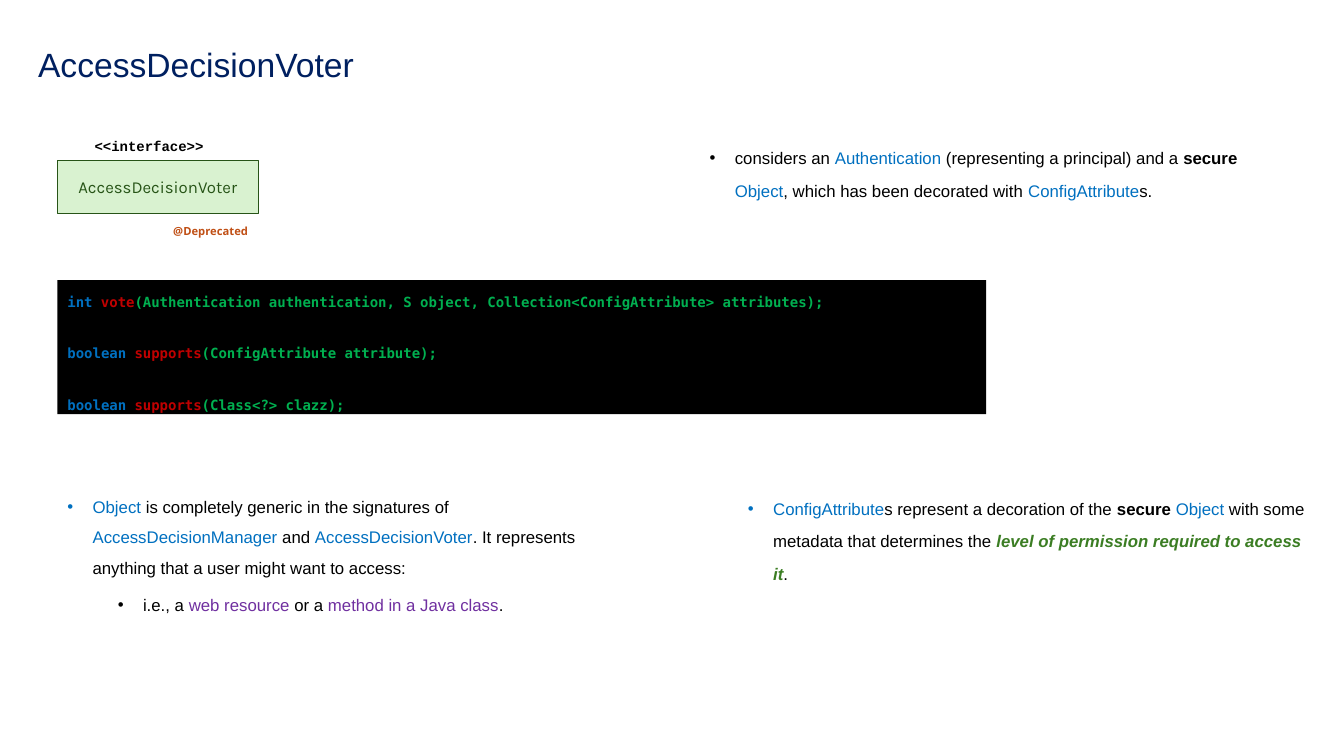
from pptx import Presentation
from pptx.dml.color import RGBColor
from pptx.enum.shapes import MSO_SHAPE
from pptx.enum.text import MSO_ANCHOR as ANCHOR, PP_ALIGN as ALIGN
from pptx.util import Inches, Pt
from lxml import etree

BLACK = RGBColor(0x00, 0x00, 0x00)
NAVY = RGBColor(0x00, 0x20, 0x60)
BLUE = RGBColor(0x00, 0x70, 0xC0)
RED = RGBColor(0xC0, 0x00, 0x00)
GREEN = RGBColor(0x00, 0xB0, 0x50)
PURPLE = RGBColor(0x70, 0x30, 0xA0)
ORANGE = RGBColor(0xC0, 0x4F, 0x15)
LEAF = RGBColor(0x3B, 0x7D, 0x23)
DARK_LEAF = RGBColor(0x27, 0x54, 0x17)
PALE_LEAF = RGBColor(0xD9, 0xF2, 0xD0)

# Grid: left edge and row shared by the blocks, width of a text column
LEFT, LOWER_ROW, COLUMN = 0.57, 4.78, 5.82

prs = Presentation()
prs.slide_width, prs.slide_height = Inches(13.33), Inches(7.5)
s = prs.slides.add_slide(prs.slide_layouts[6])


def add_block(x, y, w, h, fill=None, anchor=ANCHOR.TOP, wrap=True):
    """Add a text box, or a rectangle when a fill is given."""
    box = [Inches(v) for v in (x, y, w, h)]
    if fill is None:
        sp = s.shapes.add_textbox(*box)
    else:
        sp = s.shapes.add_shape(MSO_SHAPE.RECTANGLE, *box)
        sp.shadow.inherit = False
        sp.fill.solid()
        sp.fill.fore_color.rgb = fill
        sp.line.fill.background()
    tf = sp.text_frame
    tf.word_wrap = wrap
    tf.vertical_anchor = anchor
    return sp


def write(p, runs, font, size, align=ALIGN.LEFT, spacing=1.0, before=0, indent=None):
    """Write (text, colour, style) runs; style holds b and i. An indent adds a bullet."""
    p.alignment, p.line_spacing, p.space_before = align, spacing, Pt(before)
    if indent:
        pPr = p._p.get_or_add_pPr()
        pPr.set("marL", str(Inches(indent)))
        pPr.set("indent", str(Inches(-0.25)))
        ns = "{http://schemas.openxmlformats.org/drawingml/2006/main}"
        etree.SubElement(pPr, ns + "buFont").set("typeface", "Arial")
        etree.SubElement(pPr, ns + "buChar").set("char", "•")
    for text, color, style in runs:
        r = p.add_run()
        r.text = text
        r.font.name, r.font.size = font, Pt(size)
        r.font.color.rgb = color
        r.font.bold, r.font.italic = "b" in style, "i" in style


# Title
sp = add_block(0.28, 0.4, 12.86, 0.53, anchor=ANCHOR.MIDDLE)
write(sp.text_frame.paragraphs[0], [("AccessDecisionVoter", NAVY, "")], "Arial", 24, spacing=0.9)

# Interface box with its stereotype and annotation
sp = add_block(LEFT, 1.59, 1.99, 0.53, PALE_LEAF, ANCHOR.MIDDLE)
sp.line.color.rgb = DARK_LEAF
sp.line.width = Pt(0.25)
write(sp.text_frame.paragraphs[0], [("AccessDecisionVoter", DARK_LEAF, "")],
      "Karla", 12, ALIGN.CENTER)
sp = add_block(0.84, 1.31, 1.45, 0.28, wrap=False)
write(sp.text_frame.paragraphs[0], [("<<interface>>", BLACK, "b")], "Courier New", 10)
sp = add_block(1.61, 2.12, 0.96, 0.28, anchor=ANCHOR.MIDDLE)
write(sp.text_frame.paragraphs[0], [("@Deprecated", ORANGE, "b")],
      "Open Sans", 8, ALIGN.CENTER, 1.5)

# Method signatures
signatures = [
    ("int ", "vote", "(Authentication authentication, S object, "
                     "Collection<ConfigAttribute> attributes);"),
    ("boolean ", "supports", "(ConfigAttribute attribute);"),
    ("boolean ", "supports", "(Class<?> clazz);"),
]
tf = add_block(LEFT, 2.78, 9.21, 1.33, BLACK).text_frame
for i, (kind, method, params) in enumerate(signatures):
    p = tf.add_paragraph() if i else tf.paragraphs[0]
    write(p, [(kind, BLUE, "b"), (method, RED, "b"), (params, GREEN, "b")],
          "DejaVu Sans Mono", 10, spacing=1.5, before=18.6 if i else 0)

# Bulleted notes: left, top, height, line spacing, paragraphs
notes = [
    (6.94, 1.3, 1.1, 1.6, [
        [("considers an ", BLACK, ""), ("Authentication", BLUE, ""),
         (" (representing a principal) and a ", BLACK, ""), ("secure ", BLACK, "b"),
         ("Object", BLUE, ""), (", which has been decorated with ", BLACK, ""),
         ("ConfigAttribute", BLUE, ""), ("s.", BLACK, "")]]),
    (LEFT, LOWER_ROW, 2.15, 1.5, [
        [("Object", BLUE, ""), (" is completely generic in the signatures of ", BLACK, ""),
         ("AccessDecisionManager", BLUE, ""), (" and ", BLACK, ""),
         ("AccessDecisionVoter", BLUE, ""),
         (". It represents anything that a user might want to access:", BLACK, "")],
        [("i.e., a ", BLACK, ""), ("web resource", PURPLE, ""), (" or a ", BLACK, ""),
         ("method in a Java class", PURPLE, ""), (".", BLACK, "")]]),
    (7.32, LOWER_ROW, 2.15, 1.6, [
        [("ConfigAttribute", BLUE, ""), ("s represent a decoration of the ", BLACK, ""),
         ("secure ", BLACK, "b"), ("Object", BLUE, ""),
         (" with some metadata that determines the ", BLACK, ""),
         ("level of permission required to access it", LEAF, "bi"), (".", BLACK, "")]]),
]
for x, y, h, spacing, paragraphs in notes:
    tf = add_block(x, y, COLUMN, h).text_frame
    for level, runs in enumerate(paragraphs):
        p = tf.add_paragraph() if level else tf.paragraphs[0]
        p.level = level
        write(p, runs, "Arial", 12, spacing=spacing, before=5 if level else 10,
              indent=0.25 + 0.5 * level)

prs.save("out.pptx")
